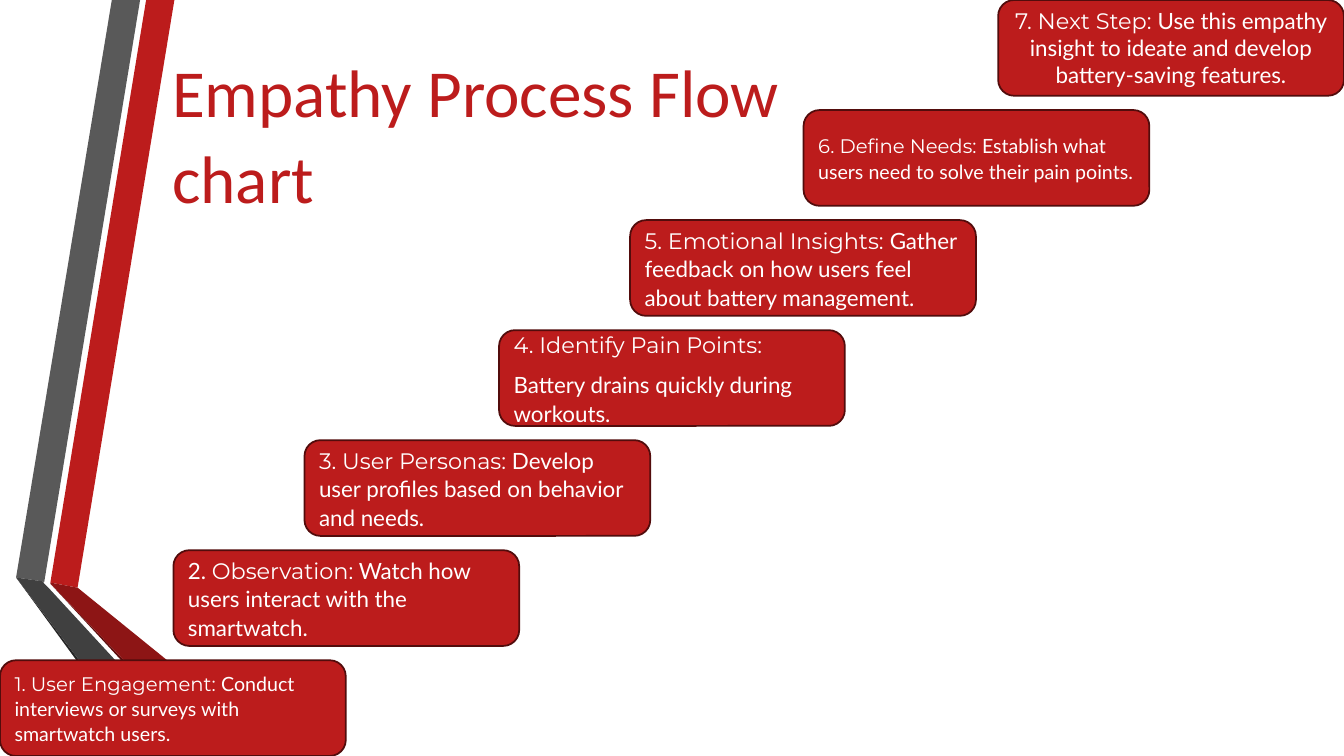
from pptx import Presentation
from pptx.dml.color import RGBColor
from pptx.enum.shapes import MSO_SHAPE as Shape
from pptx.enum.text import MSO_ANCHOR as Anchor, PP_ALIGN as Align
from pptx.util import Pt

PX = 9144  # EMU per px, 100 px to the inch
SLIDE_W, SLIDE_H = 1333, 750
COLORS = {
    "red": "BC1C1C", "outline": "520C0C", "white": "FFFFFF", "gray": "595959",
    "charcoal": "404040", "black": "262626", "crimson": "8D1515", "maroon": "5E0E0E",
}
HEAD, BODY = "Montserrat", "Lato"

TITLE = "Empathy Process Flow chart"
TITLE_BOX = (161, 39, 667, 179)

# Folded ribbons, from back to front
RIBBONS = [
    ("red", [(50, 578), (77, 583), (173, 0), (145, 0)]),
    ("gray", [(139, 0), (111, 0), (16, 573), (44, 577)]),
    ("black", [(16, 573), (145, 750), (151, 750)]),
    ("maroon", [(50, 579), (208, 750), (214, 750)]),
    ("crimson", [(50, 578), (50, 579), (214, 750), (283, 750), (77, 583)]),
    ("charcoal", [(202, 750), (48, 583), (43, 578), (44, 577), (16, 573), (151, 750)]),
]

# Left edge, text size, paragraphs of (font, text); from the bottom step up
STEPS = [
    (0, 14, [[(HEAD, "1. User Engagement:"),
              (BODY, " Conduct interviews or surveys with smartwatch users.")]]),
    (172, 16, [[(BODY, "2. "), (HEAD, "Observation:"),
                (BODY, " Watch how users interact with the smartwatch.")]]),
    (302, 16, [[(HEAD, "3. User Personas:"),
                (BODY, " Develop user profiles based on behavior and needs.")]]),
    (495, 16, [[(HEAD, "4. Identify Pain Points:")],
               [(BODY, "Battery drains quickly during workouts.")]]),
    (625, 16, [[(HEAD, "5. Emotional Insights: "),
                (BODY, "Gather feedback on how users feel about battery management.")]]),
    (797, 14, [[(HEAD, "6. Define Needs: "),
                (BODY, "Establish what users need to solve their pain points.")]]),
    (990, 16, [[(HEAD, "7. Next Step: "),
                (BODY, "Use this empathy insight to ideate and develop "
                       "battery-saving features.")]]),
]
STEP_W, STEP_H = 343, 95


def color(name):
    return RGBColor.from_string(COLORS[name])


def emu(*lengths):
    return [round(length * PX) for length in lengths]


def paint(shape, fill, line=None):
    shape.shadow.inherit = False
    shape.fill.solid()
    shape.fill.fore_color.rgb = color(fill)
    if line:
        shape.line.color.rgb = color(line)
        shape.line.width = Pt(1.25)
    else:
        shape.line.fill.background()


def space_out(para):
    para.line_spacing = 1.07
    para.space_after = Pt(8)


def add_ribbon(page, fill, points):
    builder = page.shapes.build_freeform(*points[0], scale=PX)
    builder.add_line_segments(points[1:], close=True)
    paint(builder.convert_to_shape(), fill)


def add_step(page, left, top, size, paragraphs, centred):
    box = page.shapes.add_shape(Shape.ROUNDED_RECTANGLE, *emu(left, top, STEP_W, STEP_H))
    paint(box, "red", "outline")
    frame = box.text_frame
    frame.word_wrap = True
    frame.vertical_anchor = Anchor.MIDDLE
    for index, spans in enumerate(paragraphs):
        para = frame.add_paragraph() if index else frame.paragraphs[0]
        para.alignment = Align.CENTER if centred else Align.LEFT
        para.font.size = Pt(size)
        para.font.color.rgb = color("white")
        if not centred:
            space_out(para)
        for font, text in spans:
            span = para.add_run()
            span.text = text
            span.font.name = font


def add_title(page):
    frame = page.shapes.add_textbox(*emu(*TITLE_BOX)).text_frame
    frame.word_wrap = True
    para = frame.paragraphs[0]
    para.text = TITLE
    para.font.name = "Calibri"
    para.font.size = Pt(48)
    para.font.color.rgb = color("red")
    space_out(para)


def main():
    deck = Presentation()
    deck.slide_width, deck.slide_height = emu(SLIDE_W, SLIDE_H)
    page = deck.slides.add_slide(deck.slide_layouts[6])
    for fill, points in RIBBONS:
        add_ribbon(page, fill, points)
    last = len(STEPS) - 1
    rise = (SLIDE_H - STEP_H) / last
    for index, (left, size, paragraphs) in enumerate(STEPS):
        add_step(page, left, (last - index) * rise, size, paragraphs, index == last)
    add_title(page)
    deck.save("out.pptx")


if __name__ == "__main__":
    main()
